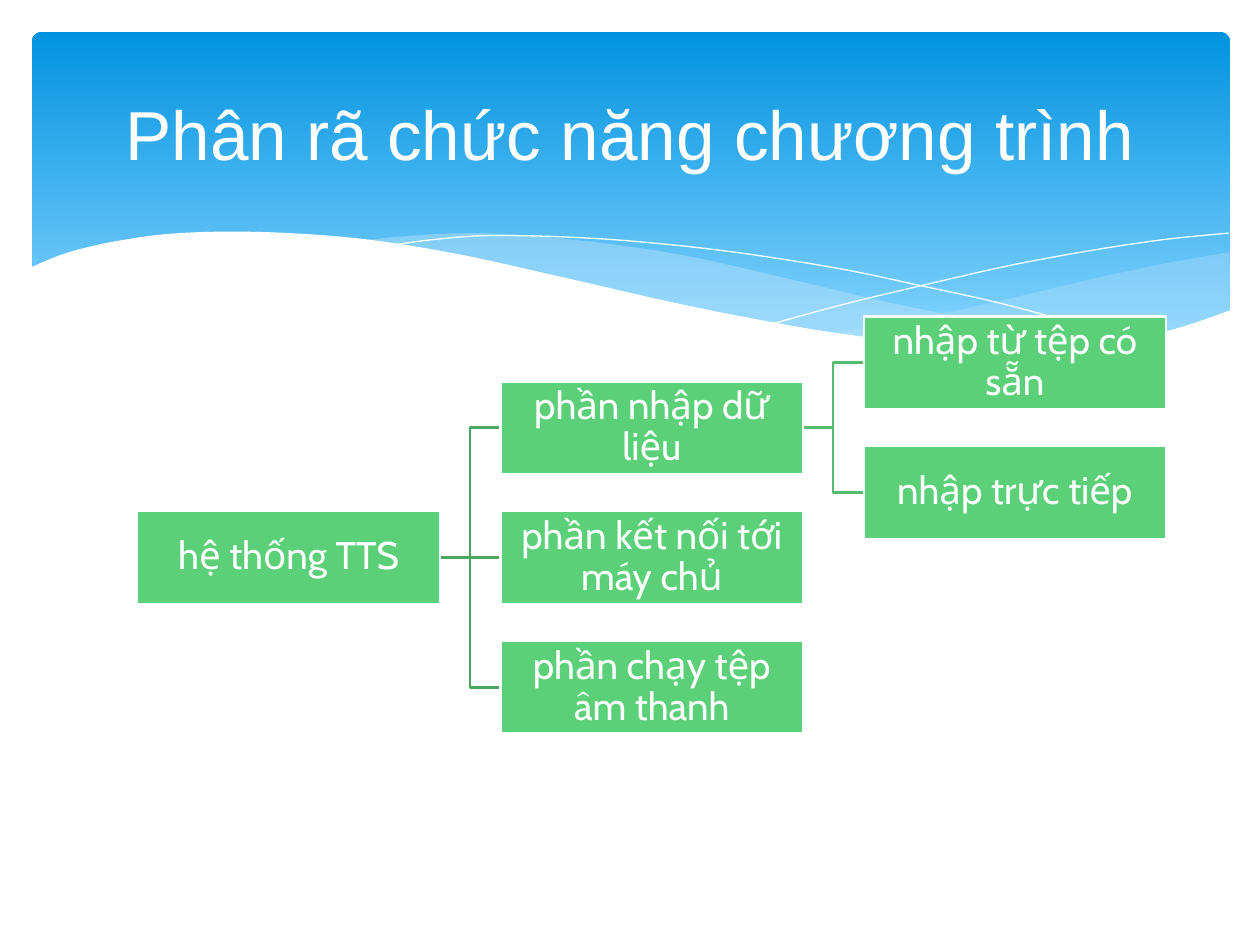
import lxml.etree
import pptx
import pptx.dml.color
import pptx.enum.dml
import pptx.enum.shapes
import pptx.enum.text
import pptx.oxml
import pptx.oxml.ns
import pptx.util

Cm = pptx.util.Cm
Pt = pptx.util.Pt
Kind = pptx.enum.shapes.MSO_SHAPE
Link = pptx.enum.shapes.MSO_CONNECTOR

WHITE, GREEN, VEIL = "FFFFFF", "5BD078", "C6E7FC"
LEFT, TOP, WIDE, HIGH = 2.77, 6.38, 6.1, 1.86
COL, ROW = 7.32, 1.31

BOXES = {
    "root": (0, 3, "hệ thống TTS"),
    "input": (1, 1, "phần nhập dữ liệu"),
    "file": (2, 0, "nhập từ tệp có sẵn"),
    "typed": (2, 2, "nhập trực tiếp"),
    "server": (1, 3, "phần kết nối tới máy chủ"),
    "sound": (1, 5, "phần chạy tệp âm thanh"),
}
LINKS = [
    ("root", "sound", "49A760"),
    ("root", "server", "49A760"),
    ("input", "typed", "53BD6D"),
    ("input", "file", "53BD6D"),
    ("root", "input", "49A760"),
]

RIGHT_TOP = [(24.79, 5.08), (23.39, 5.33), (21.87, 5.66), (19.79, 6.15),
             (17.93, 6.53), (16.79, 6.73)]
RIGHT_LOW = [(16.79, 6.73), (18.26, 6.91), (19.84, 7.04), (21.21, 7.04),
             (22.38, 6.96), (23.39, 6.73), (24.1, 6.53), (24.79, 6.27)]
MID_TOP = [(7.26, 4.85), (8.33, 4.75), (9.65, 4.7), (11.23, 4.8),
           (12.75, 4.98), (14.1, 5.21), (15.98, 5.64), (17.93, 6.1),
           (19.69, 6.45), (21.26, 6.73), (22.68, 6.93)]
MID_LOW = [(22.68, 6.93), (21.54, 7.04), (20.5, 7.06), (19.33, 7.04),
           (18.01, 6.91), (16.51, 6.71), (14.83, 6.4), (13.46, 6.1),
           (11.4, 5.64), (9.73, 5.26), (8.69, 5.05), (7.26, 4.85)]
FALLING = [(7.85, 4.95), (8.74, 4.83), (9.83, 4.75), (11.43, 4.78),
           (12.95, 4.88), (14.78, 5.08), (16.89, 5.41), (18.47, 5.74),
           (20.19, 6.12), (22.07, 6.63), (23.04, 6.91)]
RISING = [(15.57, 6.53), (17.07, 6.12), (19, 5.66), (20.47, 5.33),
          (22, 5.05), (23.47, 4.83), (24.77, 4.7)]
CREST = [(24.82, 6.25), (23.62, 6.65), (22.23, 6.93), (20.55, 7.04),
         (18.9, 6.96), (16.97, 6.73), (15.32, 6.45), (13.44, 6.07),
         (11.35, 5.59), (9.27, 5.13), (7.42, 4.83), (5.84, 4.7),
         (4.5, 4.67), (3.35, 4.72), (2.41, 4.85), (1.7, 5),
         (1.17, 5.16), (0.58, 5.41)]
BASE = [(0.58, 8.36), (24.82, 8.36)]


def tint(code):
    """Return the colour of a hex string."""
    return pptx.dml.color.RGBColor.from_string(code)


def front(shape):
    """Bring a shape to the front."""
    shape.element.getparent().append(shape.element)


def paint(shape, fill=None, line=None, width=0, alpha=None):
    """Set fill, outline and opacity of a shape without shadow."""
    shape.shadow.inherit = False
    if fill:
        shape.fill.solid()
        shape.fill.fore_color.rgb = tint(fill)
    else:
        shape.fill.background()
    if alpha:
        clr = shape.element.spPr.find(".//" + pptx.oxml.ns.qn("a:srgbClr"))
        node = lxml.etree.SubElement(clr, pptx.oxml.ns.qn("a:alpha"))
        node.set("val", str(alpha * 1000))
    if line:
        shape.line.color.rgb = tint(line)
        shape.line.width = Pt(width)
    else:
        shape.line.fill.background()


def write(shape, text, size=22, font="Cabin", color=WHITE, space=None, inset=None):
    """Put centred text into a shape."""
    frame = shape.text_frame
    frame.word_wrap = True
    frame.vertical_anchor = pptx.enum.text.MSO_ANCHOR.MIDDLE
    if inset is not None:
        frame.margin_left = frame.margin_right = Cm(inset)
        frame.margin_top = frame.margin_bottom = Cm(inset)
    para = frame.paragraphs[0]
    para.alignment = pptx.enum.text.PP_ALIGN.CENTER
    para.line_spacing = space
    run = para.add_run()
    run.text = text
    run.font.size = Pt(size)
    run.font.name = font
    run.font.color.rgb = tint(color)


def smooth(knots, steps=6):
    """Return points of a Catmull-Rom curve through the knots."""
    ends = [knots[0], *knots, knots[-1]]
    points = [knots[0]]
    for quad in zip(ends, ends[1:], ends[2:], ends[3:]):
        for step in range(1, steps + 1):
            t = step / steps
            points.append(tuple(
                b + t * (c - a + t * (2 * a - 5 * b + 4 * c - d
                                      + t * (3 * b - 3 * c + d - a))) / 2
                for a, b, c, d in zip(*quad)))
    return points


def trace(slide, points, close=True, **look):
    """Draw an outline through points given in centimetres."""
    spots = [(Cm(x), Cm(y)) for x, y in points]
    pen = slide.shapes.build_freeform(*spots[0])
    pen.add_line_segments(spots[1:], close=close)
    paint(pen.convert_to_shape(), **look)


def banner(slide):
    """Draw the blue panel with its waves."""
    panel = slide.shapes.add_shape(
        Kind.ROUNDED_RECTANGLE, Cm(0.64), Cm(0.64), Cm(24.16), Cm(6.86))
    panel.adjustments[0] = 0.03
    paint(panel)
    panel.fill.gradient()
    panel.fill.gradient_angle = 270
    for stop, code, place in zip(
            panel.fill.gradient_stops, ("0293E0", "83D3FE"), (0, 0.9)):
        stop.color.rgb = tint(code)
        stop.position = place
    trace(slide, smooth(RIGHT_TOP) + smooth(RIGHT_LOW), fill=VEIL, alpha=29)
    trace(slide, smooth(MID_TOP) + smooth(MID_LOW), fill=VEIL, alpha=40)
    for knots in (FALLING, RISING):
        trace(slide, smooth(knots), close=False, line=WHITE)
    trace(slide, smooth(CREST) + BASE, fill=WHITE)


def box(slide, col, row, text):
    """Add one box of the tree."""
    shape = slide.shapes.add_shape(
        Kind.RECTANGLE, Cm(LEFT + col * COL), Cm(TOP + row * ROW),
        Cm(WIDE), Cm(HIGH))
    paint(shape, fill=GREEN, line=WHITE, width=1.25)
    write(shape, text, space=0.9, inset=0.04)
    return shape


def link(slide, start, end, color):
    """Join the right side of one box to the left side of another."""
    kind = Link.STRAIGHT if start.top == end.top else Link.ELBOW
    line = slide.shapes.add_connector(kind, 0, 0, 0, 0)
    line.begin_connect(start, 3)
    line.end_connect(end, 1)
    line.line.color.rgb = tint(color)
    line.line.width = Pt(1.25)
    lxml.etree.SubElement(line.element.spPr, pptx.oxml.ns.qn("a:effectLst"))


def main():
    """Build the slide and save it."""
    deck = pptx.Presentation()
    deck.slide_width, deck.slide_height = Cm(25.4), Cm(19.05)
    slide = deck.slides.add_slide(deck.slide_layouts[5])
    banner(slide)
    title = slide.shapes.title
    title.left, title.top = Cm(1.27), Cm(0.94)
    title.width, title.height = Cm(22.86), Cm(3.48)
    write(title, "Phân rã chức năng chương trình", size=39.6, font="Arial")
    front(title)
    boxes = {key: box(slide, *cell) for key, cell in BOXES.items()}
    for start, end, color in LINKS:
        link(slide, boxes[start], boxes[end], color)
    for shape in boxes.values():
        front(shape)
    deck.save("out.pptx")


if __name__ == "__main__":
    main()
